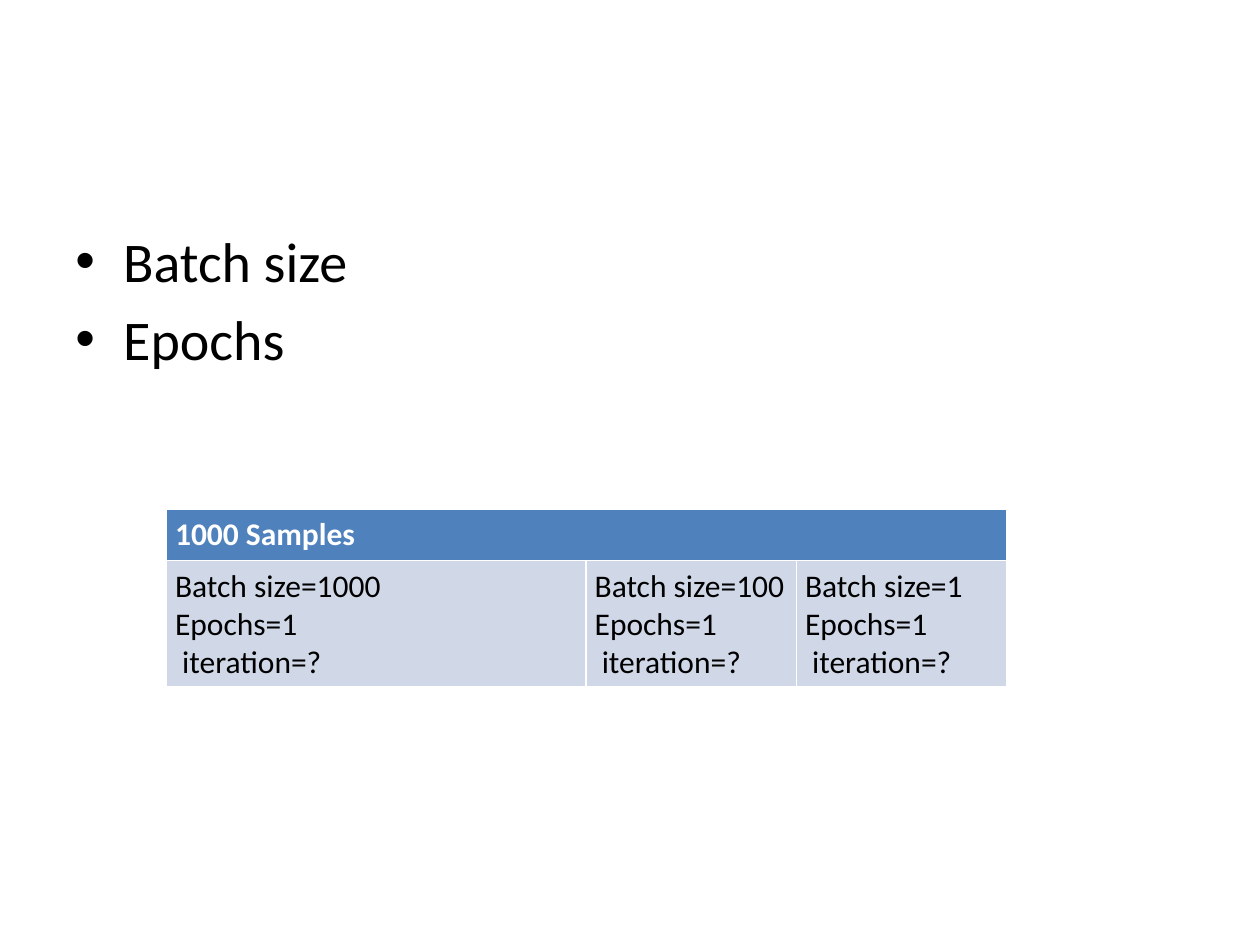
from lxml.etree import SubElement
from pptx import Presentation
from pptx.dml.color import RGBColor
from pptx.oxml.ns import qn
from pptx.util import Inches, Pt

FONT = "Calibri"
BLACK = RGBColor(0x00, 0x00, 0x00)
WHITE = RGBColor(0xFF, 0xFF, 0xFF)
HEADER_BLUE = RGBColor(0x4F, 0x81, 0xBD)
CELL_BLUE = RGBColor(0xD0, 0xD8, 0xE8)

TERMS = ["Batch size", "Epochs"]
BATCH_SIZES = [1000, 100, 1]
COLUMN_WIDTHS = [3.33, 1.67, 1.67]
ROW_HEIGHTS = [0.41, 1]


def style_paragraph(paragraph, size, color, bold=False):
    font = paragraph.font
    font.name = FONT
    font.size = Pt(size)
    font.bold = bold
    font.color.rgb = color


def add_bullet(paragraph):
    properties = paragraph._p.get_or_add_pPr()
    properties.set("marL", str(Inches(0.38)))
    properties.set("indent", str(Inches(-0.38)))
    SubElement(properties, qn("a:buFont")).set("typeface", "Arial")
    SubElement(properties, qn("a:buChar")).set("char", "•")


def add_bullet_list(slide, items):
    text_box = slide.shapes.add_textbox(Inches(0.5), Inches(1.75), Inches(9), Inches(4.95))
    text_frame = text_box.text_frame
    text_frame.word_wrap = True
    text_frame.text = "\n".join(items)
    for paragraph in text_frame.paragraphs:
        paragraph.space_before = Pt(6)
        add_bullet(paragraph)
        style_paragraph(paragraph, 32, BLACK)


def fill_cell(cell, text, fill, color, bold=False):
    cell.fill.solid()
    cell.fill.fore_color.rgb = fill
    cell.margin_left = cell.margin_right = Inches(0.07)
    cell.text = text
    for paragraph in cell.text_frame.paragraphs:
        style_paragraph(paragraph, 18, color, bold)


def add_sample_table(slide):
    """Add the table; its default style draws the white borders."""
    table = slide.shapes.add_table(
        len(ROW_HEIGHTS), len(COLUMN_WIDTHS), Inches(1.32), Inches(4.04),
        Inches(sum(COLUMN_WIDTHS)), Inches(sum(ROW_HEIGHTS))).table
    for column, width in zip(table.columns, COLUMN_WIDTHS):
        column.width = Inches(width)
    for row, height in zip(table.rows, ROW_HEIGHTS):
        row.height = Inches(height)

    header = table.cell(0, 0)
    header.merge(table.cell(0, len(COLUMN_WIDTHS) - 1))
    fill_cell(header, "1000 Samples", HEADER_BLUE, WHITE, bold=True)
    for index, batch_size in enumerate(BATCH_SIZES):
        text = f"Batch size={batch_size}\nEpochs=1\n iteration=?"
        fill_cell(table.cell(1, index), text, CELL_BLUE, BLACK)


def main():
    presentation = Presentation()
    presentation.slide_width = Inches(10)
    presentation.slide_height = Inches(7.5)
    slide = presentation.slides.add_slide(presentation.slide_layouts[6])
    add_bullet_list(slide, TERMS)
    add_sample_table(slide)
    presentation.save("out.pptx")


if __name__ == "__main__":
    main()
